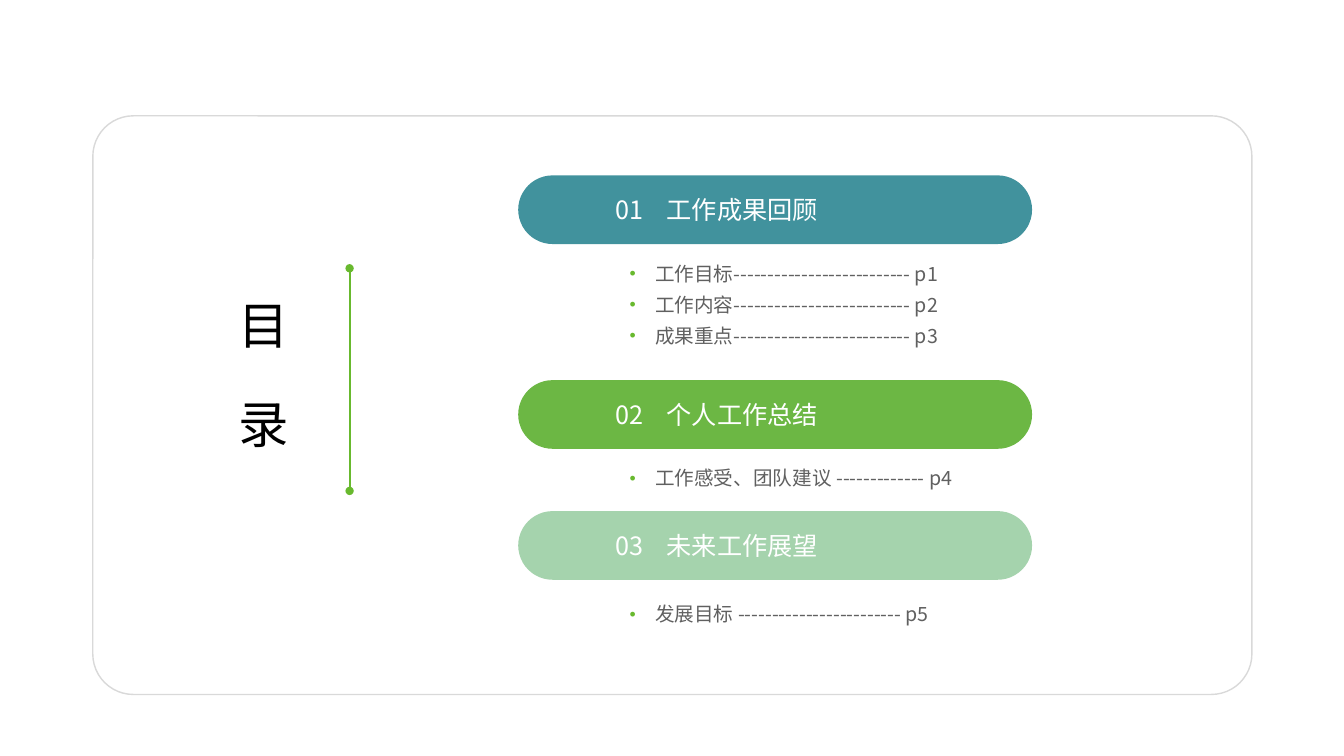
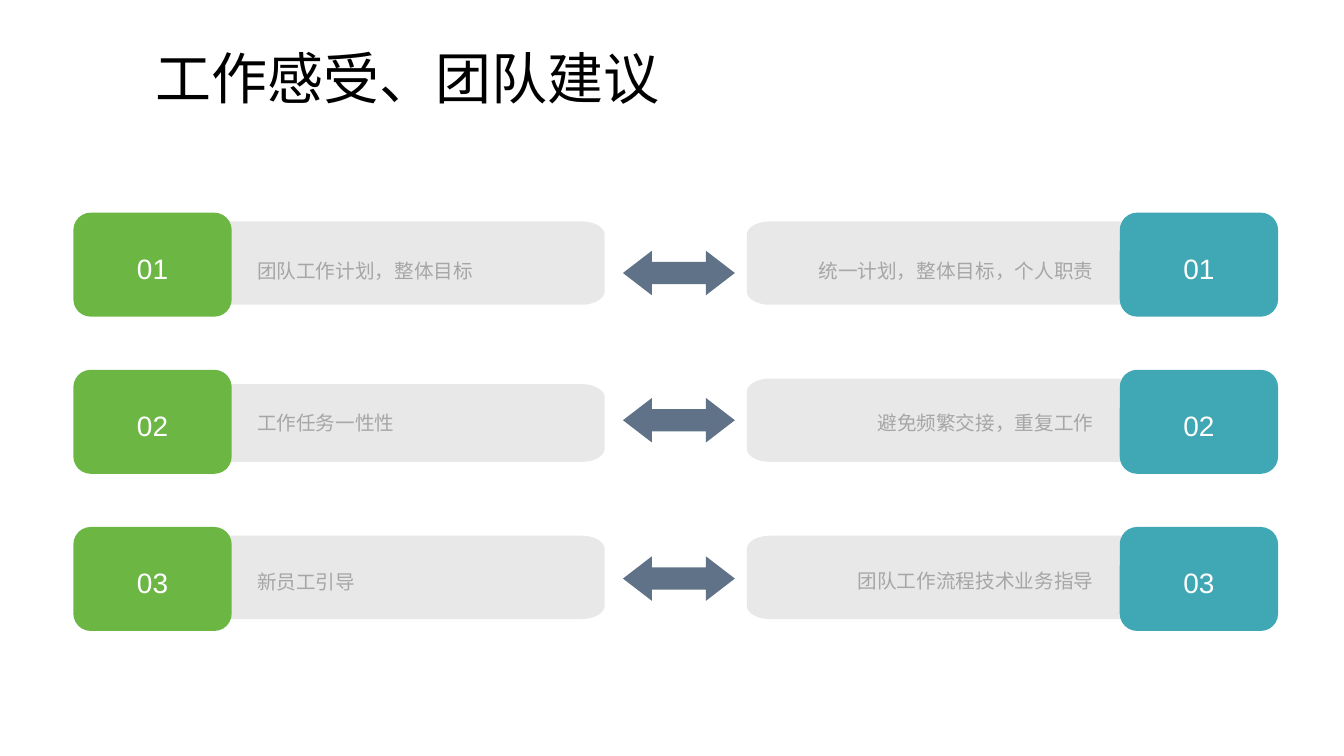
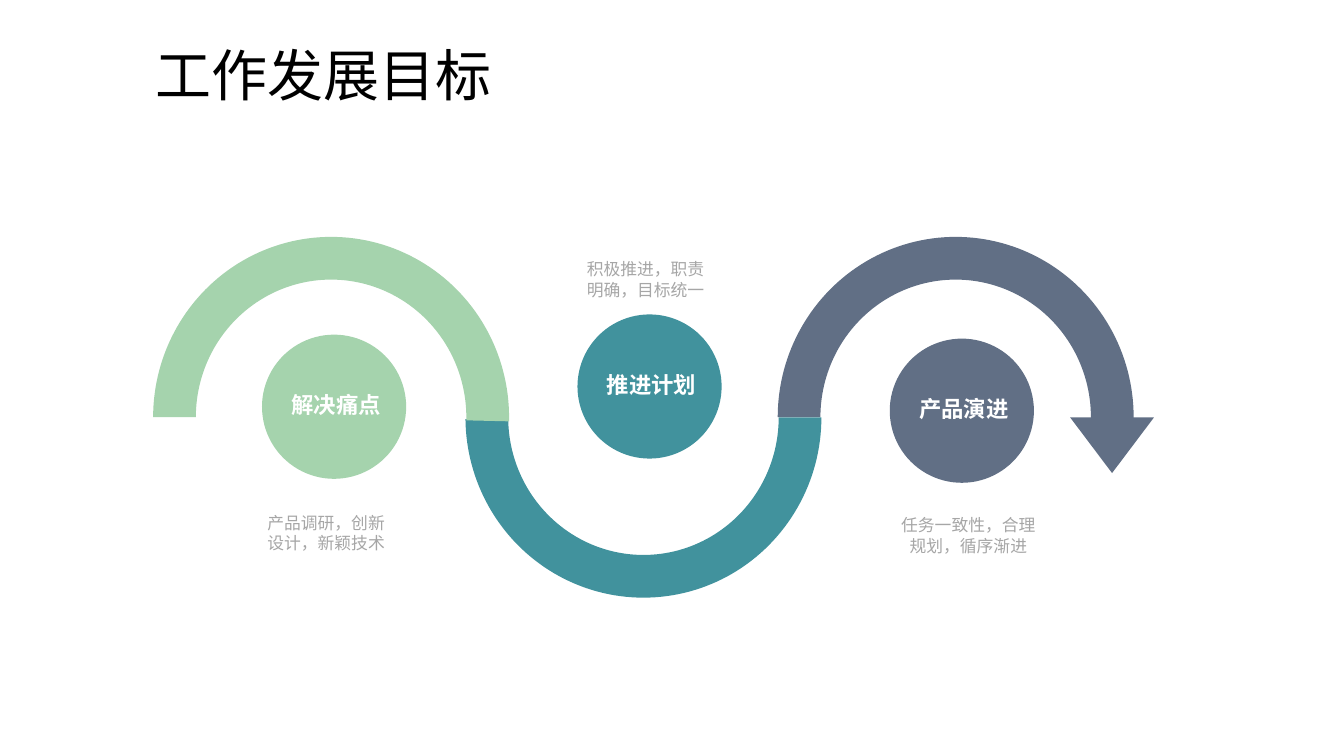
from dataclasses import dataclass
from math import cos, radians, sin

from lxml.etree import SubElement
from pptx import Presentation
from pptx.dml.color import RGBColor as RGB
from pptx.enum.shapes import MSO_CONNECTOR as Connector, MSO_SHAPE as Shape
from pptx.enum.text import MSO_ANCHOR as Anchor, PP_ALIGN as Align
from pptx.oxml.ns import qn
from pptx.util import Cm, Pt


@dataclass(frozen=True)
class Theme:
    black: RGB = RGB.from_string("000000")
    white: RGB = RGB.from_string("FFFFFF")
    body: RGB = RGB.from_string("606060")
    muted: RGB = RGB.from_string("A6A6A6")
    bar: RGB = RGB.from_string("E8E8E8")
    border: RGB = RGB.from_string("D9D9D9")
    bullet: RGB = RGB.from_string("68B92E")
    green: RGB = RGB.from_string("6CB744")
    mint: RGB = RGB.from_string("A5D3AD")
    teal: RGB = RGB.from_string("41929D")
    aqua: RGB = RGB.from_string("40A7B5")
    slate: RGB = RGB.from_string("616F85")
    arrow: RGB = RGB.from_string("5F7288")
    font: str = "Noto Sans CJK SC"
    digits: str = "Arial"
    title: int = 40
    contents: int = 36
    number: int = 20
    section: int = 18
    goal: int = 16
    text: int = 14
    note: int = 12


theme = Theme()


def write(shape, text, *, size, color, font=theme.font, bold=False, align=Align.LEFT,
          anchor=Anchor.TOP, insets=(0.25, 0.13, 0.25, 0.13), spacing=1.0,
          before=0, wrap=True, tab=None, bullet=None):
    frame = shape.text_frame
    frame.word_wrap = wrap
    frame.vertical_anchor = anchor
    frame.margin_left, frame.margin_top, frame.margin_right, frame.margin_bottom = map(Cm, insets)
    for index, line in enumerate(text.split("\n")):
        paragraph = frame.add_paragraph() if index else frame.paragraphs[0]
        paragraph.alignment = align
        paragraph.line_spacing = spacing
        paragraph.space_before = Pt(before if index else 0)
        properties = paragraph._p.get_or_add_pPr()
        if bullet is not None:
            properties.set("marL", str(Cm(0.64)))
            properties.set("indent", str(-Cm(0.64)))
            SubElement(SubElement(properties, qn("a:buClr")), qn("a:srgbClr"), val=str(bullet))
            SubElement(properties, qn("a:buSzPct"), val="90000")
            SubElement(properties, qn("a:buFont"), typeface=theme.digits)
            SubElement(properties, qn("a:buChar"), char="•")
        if tab:
            stops = SubElement(properties, qn("a:tabLst"))
            SubElement(stops, qn("a:tab"), pos=str(Cm(tab)), algn="l")
        run = paragraph.add_run()
        run.text = line
        run.font.size = Pt(size)
        run.font.bold = bold
        run.font.color.rgb = color
        run.font.name = font
        SubElement(run._r.get_or_add_rPr(), qn("a:ea"), typeface=font)


def block(slide, kind, box, fill, adjust=(), rotation=0):
    shape = slide.shapes.add_shape(kind, *map(Cm, box))
    shape.shadow.inherit = False
    shape.fill.solid()
    shape.fill.fore_color.rgb = fill
    shape.line.fill.background()
    shape.rotation = rotation
    for index, value in enumerate(adjust):
        shape.adjustments[index] = value
    return shape


deck = Presentation()
deck.slide_width, deck.slide_height = Cm(33.87), Cm(19.05)
contents, advice, goals = [deck.slides.add_slide(deck.slide_layouts[6]) for _ in range(3)]

for slide, heading, top in ((advice, "工作感受、团队建议", 0.2), (goals, "工作发展目标", 0.13)):
    write(slide.shapes.add_textbox(Cm(3.68), Cm(top), Cm(27.94), Cm(3.68)), heading,
          size=theme.title, color=theme.black, anchor=Anchor.MIDDLE, spacing=0.9)

card = block(contents, Shape.ROUNDED_RECTANGLE, (2.34, 2.92, 29.21, 14.58), theme.white, [0.07])
card.line.color.rgb = theme.border
card.line.width = Pt(1)

write(contents.shapes.add_textbox(Cm(5.77), Cm(7.19), Cm(2.41), Cm(4.65)), "目\n录",
      size=theme.contents, color=theme.black, anchor=Anchor.MIDDLE, spacing=0.9, before=32)

divider = contents.shapes.add_connector(Connector.STRAIGHT, Cm(8.81), Cm(6.76), Cm(8.81), Cm(12.37))
divider.line.color.rgb = theme.bullet
divider.line.width = Pt(1.5)
for end in ("a:headEnd", "a:tailEnd"):
    SubElement(divider.line._get_or_add_ln(), qn(end), type="oval")
SubElement(divider._element.spPr, qn("a:effectLst"))

sections = (
    ("01\t工作成果回顾", 4.42, theme.teal, 6.53, 2.92,
     "工作目标-------------------------- p1\n"
     "工作内容-------------------------- p2\n"
     "成果重点-------------------------- p3"),
    ("02\t个人工作总结", 9.58, theme.green, 11.68, 0.69, "工作感受、团队建议 ------------- p4"),
    ("03\t未来工作展望", 12.88, theme.mint, 15.11, 1.09, "发展目标 ------------------------ p5"),
)
for name, top, color, list_top, list_height, pages in sections:
    pill = block(contents, Shape.ROUNDED_RECTANGLE, (13.06, top, 12.95, 1.73), color, [0.5])
    write(pill, name, size=theme.section, color=theme.white, anchor=Anchor.MIDDLE,
          insets=(2.19, 0.13, 0.25, 0.13), tab=1.3)
    write(contents.shapes.add_textbox(Cm(15.62), Cm(list_top), Cm(9.7), Cm(list_height)), pages,
          size=theme.text, color=theme.body, spacing=0.9, before=7, bullet=theme.bullet)

tile_top, tile_pitch = 5.36, 3.96
corner_x, corner_y = 0.58, 0.34
sides = (
    (1.85, theme.green, 5.79, 15.24, 6.48, Align.LEFT),
    (28.22, theme.aqua, 28.25, 18.82, 20.55, Align.RIGHT),
)
rows = (
    (6.32, (("团队工作计划，整体目标", 6.4, 0.22), ("统一计划，整体目标，个人职责", 6.4, 0.22))),
    (10.03, (("工作任务一性性", 10.24, 0.36), ("避免频繁交接，重复工作", 10.24, 0.22))),
    (14.02, (("新员工引导", 14.25, 0.22), ("团队工作流程技术业务指导", 14.22, 0.22))),
)
for row, (arrow_top, points) in enumerate(rows):
    top = tile_top + row * tile_pitch
    block(advice, Shape.LEFT_RIGHT_ARROW, (15.7, arrow_top, 2.82, 1.12), theme.arrow, [0.5, 0.65])
    for (tile_left, color, root, tip, text_left, align), (point, text_top, gap) in zip(sides, points):
        bar_top, bar_bottom = top + gap, top + 2.32
        reach = corner_x if tip > root else -corner_x
        outline = []
        for start, center_y in ((-90, bar_top + corner_y), (0, bar_bottom - corner_y)):
            for angle in range(start, start + 91, 10):
                outline.append((Cm(tip - reach + reach * cos(radians(angle))),
                                Cm(center_y + corner_y * sin(radians(angle)))))
        outline.append((Cm(root), Cm(bar_bottom)))
        builder = advice.shapes.build_freeform(Cm(root), Cm(bar_top))
        builder.add_line_segments(outline, close=True)
        bar = builder.convert_to_shape()
        bar.shadow.inherit = False
        bar.fill.solid()
        bar.fill.fore_color.rgb = theme.bar
        bar.line.fill.background()

        write(advice.shapes.add_textbox(Cm(text_left), Cm(text_top), Cm(7.01), Cm(0.66)), point,
              size=theme.text, color=theme.muted, align=align, insets=(0, 0, 0, 0), spacing=1.2)
        tile = block(advice, Shape.ROUNDED_RECTANGLE, (tile_left, top, 3.99, 2.62), color)
        write(tile, f"{row + 1:02}", size=theme.number, color=theme.white, font=theme.digits,
              align=Align.CENTER, anchor=Anchor.MIDDLE, insets=(0, 0, 0, 0), spacing=1.2)

arcs = ((1, theme.teal, 180, 215.63), (2, theme.slate, 0, 0.79), (0, theme.mint, 0, 0.79))
for place, color, rotation, sweep_end in arcs:
    block(goals, Shape.BLOCK_ARC, (3.86 + place * 7.87, 5.97, 8.97, 9.09), color,
          [108, sweep_end, 0.12], rotation)
block(goals, Shape.ISOSCELES_TRIANGLE, (26.97, 10.52, 2.11, 1.4), theme.slate, rotation=180)

stages = (
    ("解决痛点", theme.mint, 6.63, 8.46, "产品调研，创新设计，新颖技术", 6.43, 12.78, 3.58),
    ("推进计划", theme.teal, 14.58, 7.95, "积极推进，职责明确，目标统一", 14.48, 6.4, 3.58),
    ("产品演进", theme.slate, 22.45, 8.56, "任务一致性，合理规划，循序渐进", 22.45, 12.85, 3.91),
)
for name, color, left, top, note, note_left, note_top, note_width in stages:
    circle = block(goals, Shape.OVAL, (left, top, 3.58, 3.58), color)
    circle.line.color.rgb = color
    circle.line.width = Pt(1.5)
    write(circle, name, size=theme.goal, color=theme.white, bold=True, align=Align.CENTER,
          anchor=Anchor.MIDDLE, insets=(0.1, 0, 0, 0), spacing=0.9, wrap=False)
    write(goals.shapes.add_textbox(Cm(note_left), Cm(note_top), Cm(note_width), Cm(1.27)), note,
          size=theme.note, color=theme.muted, align=Align.CENTER)

deck.save("out.pptx")
